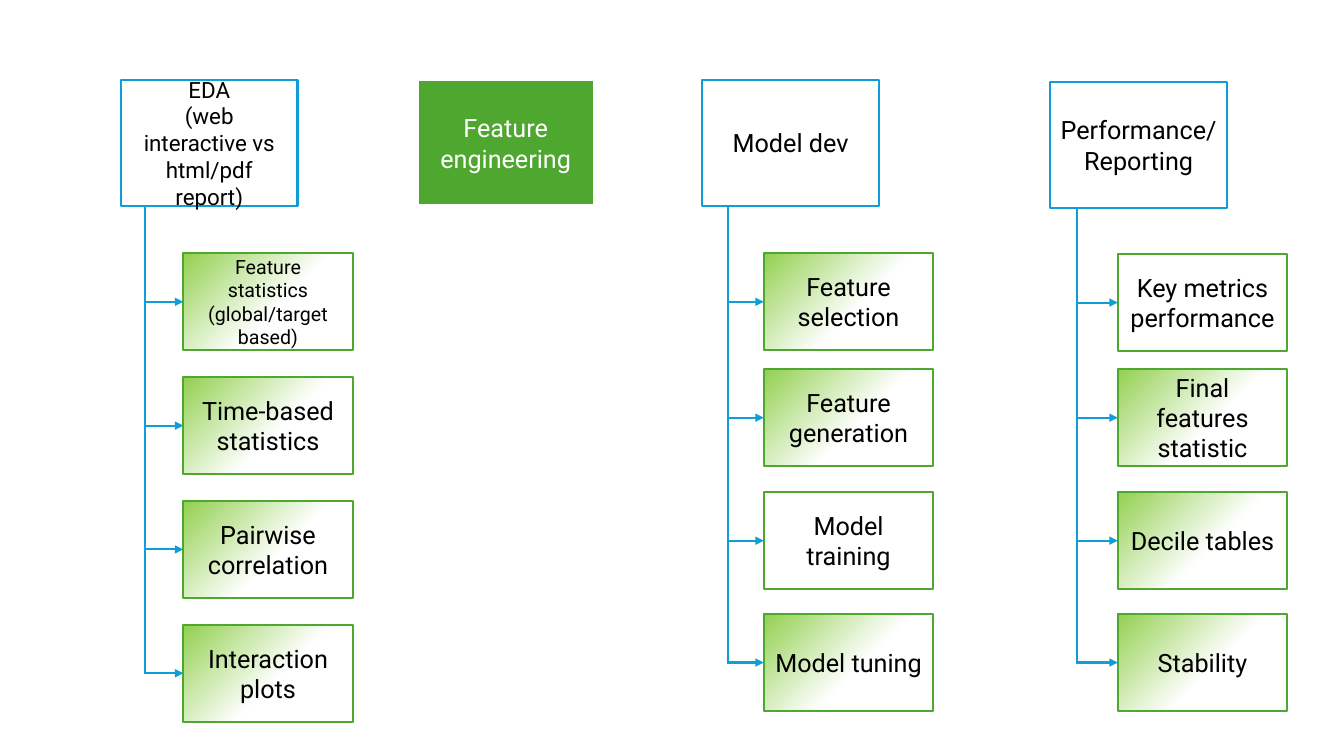
from lxml import etree
from pptx import Presentation
from pptx.dml.color import RGBColor
from pptx.enum import shapes, text
from pptx.oxml.ns import qn
from pptx.util import Cm, Pt

COLOURS = {
    "white": "FFFFFF",
    "black": "000000",
    "blue": "0F9ED5",
    "green": "4EA72E",
    "lime": "92D050",
}
HEADER_SIZE = (4.45, 3.18)
STEP_SIZE = (4.27, 2.45)
EDA_TOPS = [6.38 + 3.12 * row for row in range(4)]
MODEL_TOPS = [6.38, 9.3, 12.4, 15.47]
REPORT_TOPS = [6.4] + MODEL_TOPS[1:]

STAGES = [
    {
        "label": "EDA\v(web interactive vs html/pdf report)", "points": 16,
        "left": 3.05, "top": 2.01, "trunk": 3.66, "step_left": 4.62,
        "tops": EDA_TOPS,
        "steps": [
            ("Feature statistics (global/target based)", "gradient", 14),
            ("Time-based statistics", "gradient", 18),
            ("Pairwise correlation", "gradient", 18),
            ("Interaction plots", "gradient", 18),
        ],
    },
    {
        "label": "Model dev", "points": 18,
        "left": 17.7, "top": 2.01, "trunk": 18.34, "step_left": 19.25,
        "tops": MODEL_TOPS,
        "steps": [
            ("Feature selection", "gradient", 18),
            ("Feature generation", "gradient", 18),
            ("Model training", "white", 18),
            ("Model tuning", "gradient", 18),
        ],
    },
    {
        "label": "Performance/Reporting", "points": 18,
        "left": 26.47, "top": 2.06, "trunk": 27.15, "step_left": 28.17,
        "tops": REPORT_TOPS,
        "steps": [
            ("Key metrics performance", "white", 18),
            ("Final features statistic", "gradient", 18),
            ("Decile tables", "gradient", 18),
            ("Stability", "gradient", 18),
        ],
    },
]


def colour(name):
    return RGBColor.from_string(COLOURS[name])


def fill_shape(shape, fill):
    if fill != "gradient":
        shape.fill.solid()
        shape.fill.fore_color.rgb = colour(fill)
        return
    shape.fill.gradient()
    shape.fill.gradient_angle = 135
    stops = [(0.44, "white"), (1, "lime")]
    for stop, (position, name) in zip(shape.fill.gradient_stops, stops):
        stop.position = position
        stop.color.rgb = colour(name)


def add_box(slide, label, position, size, fill, line, points,
            font_colour="black", line_width=1.5):
    shape = slide.shapes.add_shape(
        shapes.MSO_SHAPE.RECTANGLE, *map(Cm, position + size))
    shape.shadow.inherit = False
    fill_shape(shape, fill)
    shape.line.color.rgb = colour(line)
    shape.line.width = Pt(line_width)
    frame = shape.text_frame
    frame.word_wrap = True
    frame.vertical_anchor = text.MSO_ANCHOR.MIDDLE
    paragraph = frame.paragraphs[0]
    paragraph.text = label
    paragraph.alignment = text.PP_ALIGN.CENTER
    paragraph.font.name = "Roboto"
    paragraph.font.size = Pt(points)
    paragraph.font.color.rgb = colour(font_colour)


def add_branch(slide, start_x, start_y, end_x, end_y):
    drop, reach = end_y - start_y, end_x - start_x
    left = (start_x + end_x - drop) / 2
    top = (start_y + end_y - reach) / 2
    connector = slide.shapes.add_connector(
        shapes.MSO_CONNECTOR.ELBOW,
        Cm(left), Cm(top), Cm(left + drop), Cm(top + reach))
    connector.line.color.rgb = colour("blue")
    connector.line.width = Pt(1.5)
    properties = connector._element.spPr
    transform = properties.find(qn("a:xfrm"))
    transform.set("rot", "16200000")
    transform.set("flipH", "1")
    properties.find(qn("a:prstGeom")).set("prst", "bentConnector2")
    outline = properties.find(qn("a:ln"))
    etree.SubElement(outline, qn("a:miter"), lim="800000")
    etree.SubElement(outline, qn("a:tailEnd"), type="triangle")
    etree.SubElement(properties, qn("a:effectLst"))


def add_stage(slide, stage):
    add_box(slide, stage["label"], (stage["left"], stage["top"]), HEADER_SIZE,
            "white", "blue", stage["points"])
    for top, (label, fill, points) in zip(stage["tops"], stage["steps"]):
        add_box(slide, label, (stage["step_left"], top), STEP_SIZE,
                fill, "green", points)
        add_branch(slide, stage["trunk"], stage["top"] + HEADER_SIZE[1],
                   stage["step_left"], top + STEP_SIZE[1] / 2)


def main():
    presentation = Presentation()
    presentation.slide_width = Cm(33.87)
    presentation.slide_height = Cm(19.05)
    slide = presentation.slides.add_slide(presentation.slide_layouts[6])
    for stage in STAGES:
        add_stage(slide, stage)
    add_box(slide, "Feature engineering", (10.52, 2.01), HEADER_SIZE,
            "green", "white", 18, font_colour="white", line_width=2)
    presentation.save("out.pptx")


if __name__ == "__main__":
    main()
